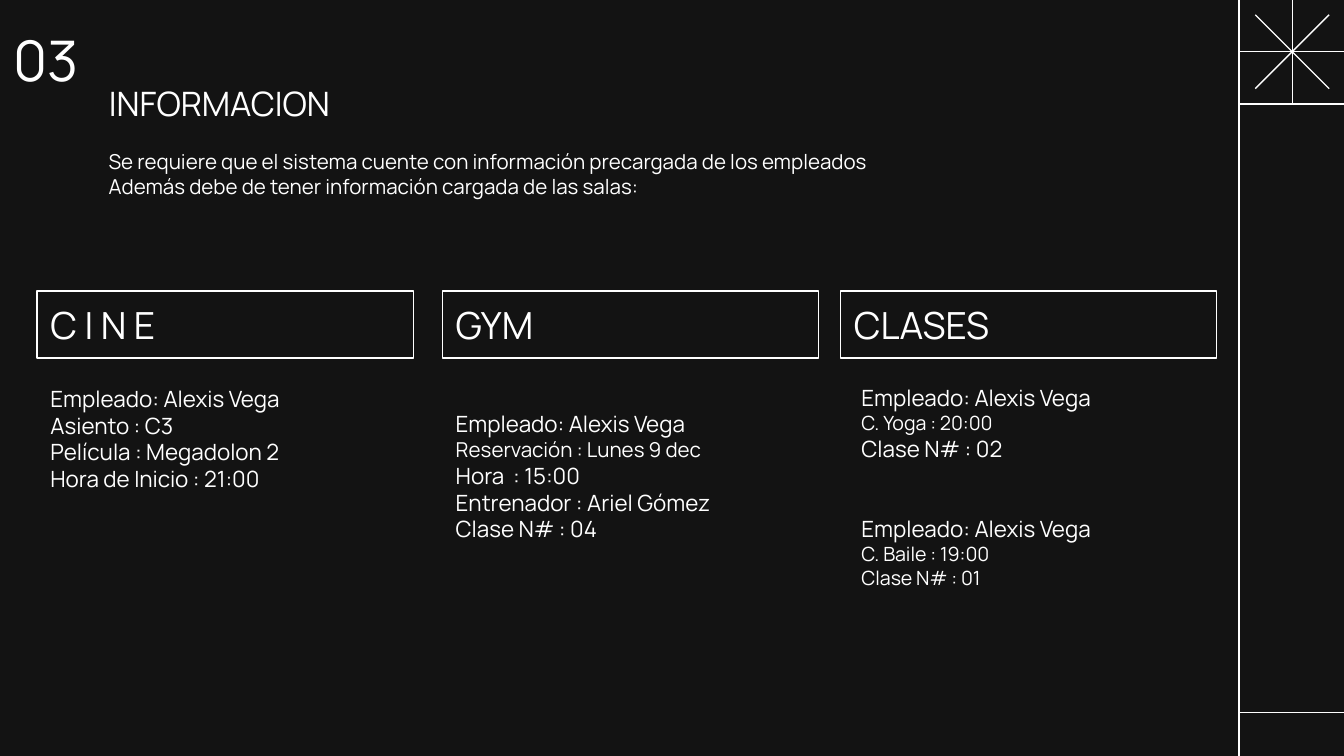
"""Build a slide on the data of the cinema, the gym and the classes."""
from lxml import etree
from pptx import Presentation
from pptx.dml.color import RGBColor
from pptx.enum.shapes import MSO_CONNECTOR, MSO_SHAPE
from pptx.enum.text import MSO_ANCHOR, MSO_AUTO_SIZE, PP_ALIGN
from pptx.oxml.ns import qn
from pptx.util import Inches, Pt

TOP, MIDDLE = MSO_ANCHOR.TOP, MSO_ANCHOR.MIDDLE
LINE, RECT = MSO_CONNECTOR.STRAIGHT, MSO_SHAPE.RECTANGLE
WHITE = RGBColor(0xFF, 0xFF, 0xFF)
BLACK = RGBColor(0x13, 0x13, 0x13)
WIDE = Inches(10)
HIGH = WIDE * 9 // 16
UNIT = WIDE // 100
PAD = UNIT
FRAME = {"word_wrap": True, "auto_size": MSO_AUTO_SIZE.NONE, "margin_left": PAD,
         "margin_top": PAD, "margin_right": PAD, "margin_bottom": PAD}
PARA = {"alignment": PP_ALIGN.LEFT, "space_before": Pt(0), "space_after": Pt(0),
        "line_spacing": 1.0}
FONT = {"name": "Manrope", "bold": False}


def style(item, form):
    for name, value in form.items():
        setattr(item, name, value)


def write(shape, box, rows, anchor=TOP):
    sides = [round(side * UNIT) for side in box]
    style(shape, dict(zip(("left", "top", "width", "height"), sides)))
    frame = shape.text_frame
    style(frame, FRAME | {"vertical_anchor": anchor})
    frame.text = "\n".join(text for text, size in rows)
    for para, (text, size) in zip(frame.paragraphs, rows):
        style(para, PARA)
        props = para._p.get_or_add_pPr()
        props.set("marL", "0")
        props.set("indent", "0")
        props.insert_element_before(etree.Element(qn("a:buNone")), "a:tabLst", "a:defRPr")
        for part in (para, *para.runs):
            style(part.font, FONT | {"size": Pt(size)})
            part.font.color.rgb = WHITE


deck = Presentation()
style(deck, {"slide_width": WIDE, "slide_height": HIGH})
slide = deck.slides.add_slide(deck.slide_layouts[4])
slide.background.fill.solid()
slide.background.fill.fore_color.rgb = BLACK
shapes, holders = slide.shapes, slide.placeholders

edge, end, foot = 92.2, 100, 56.25
lines = [(edge, 0, edge, foot), (96.15, 0, 96.15, 7.7), (98.9, 1.1, 93.4, 6.6),
         (98.9, 6.6, 93.4, 1.1)]
lines += [(edge, y, end, y) for y in (3.85, 7.73, 53)]
for ends in lines:
    line = shapes.add_connector(LINE, *[round(part * UNIT) for part in ends])
    line.line.color.rgb = WHITE
    line.line.width = Pt(0.75)
    etree.SubElement(line._element.spPr, qn("a:effectLst"))

write(shapes.title, (7.1, 5.2, 84.3, 6.3), [("INFORMACION", 18)])
write(shapes.add_textbox(0, 0, 0, 0), (0, 0.9, 84.3, 6.3), [("03", 30)])
write(shapes.add_textbox(0, 0, 0, 0), (7.1, 10.1, 84.3, 6.3), [
    ("Se requiere que el sistema cuente con información precargada de los empleados", 11),
    ("Además debe de tener información cargada de las salas:", 11)])

staff = ("Empleado: Alexis Vega", 12)
cine = [staff, ("Asiento : C3", 12), ("Película : Megadolon 2", 12),
        ("Hora de Inicio : 21:00", 12)]
gym = [staff, ("Reservación : Lunes 9 dec", 11), ("Hora  : 15:00", 12),
       ("Entrenador : Ariel Gómez", 12), ("Clase N# : 04", 12)]
club = [staff, ("C. Yoga : 20:00", 10.5), ("Clase N# : 02", 12), ("", 12), ("", 12),
        staff, ("C. Baile : 19:00", 10.5), ("Clase N# : 01", 10.5)]
box = shapes.add_shape(RECT, 0, 0, 0, 0)
box.shadow.inherit = False
cards = [
    (holders[1], holders[2], "C I N E", 2.75, (2.75, 27.63, 23, 19.7), cine),
    (box, shapes.add_textbox(0, 0, 0, 0), "GYM", 32.93, (32.93, 29.53, 23, 19.7), gym),
    (holders[3], holders[4], "CLASES", 62.53, (63.1, 27.6, 27.4, 19.7), club)]
for head, body, name, left, area, rows in cards:
    write(head, (left, 21.65, 28, 5), [(name, 20)], MIDDLE)
    head.fill.background()
    head.line.color.rgb = WHITE
    head.line.width = Pt(0.75)
    write(body, area, rows)

deck.save("out.pptx")
